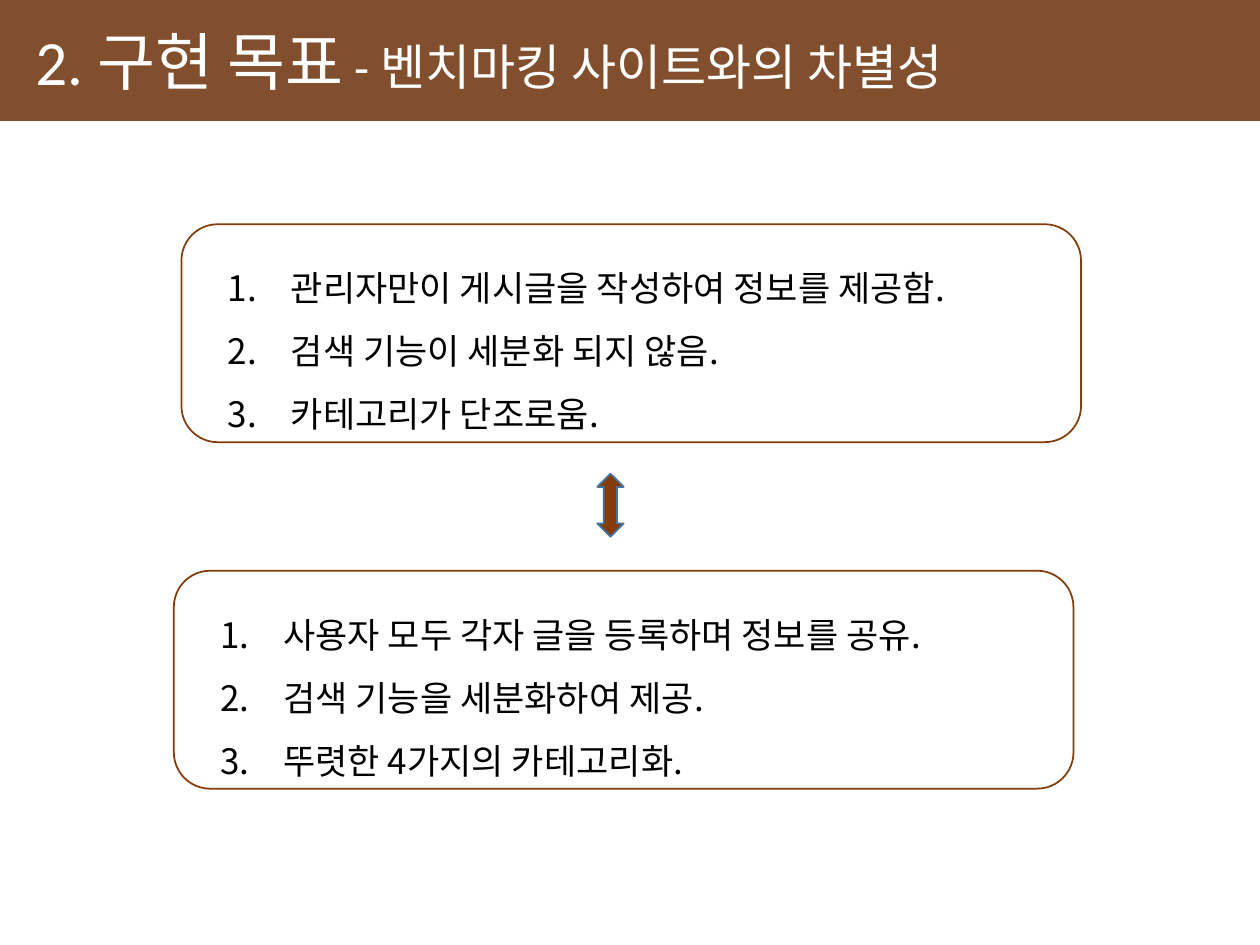
from lxml.etree import SubElement
from pptx import Presentation
from pptx.dml.color import RGBColor
from pptx.enum.shapes import MSO_SHAPE
from pptx.enum.text import MSO_ANCHOR, MSO_AUTO_SIZE, PP_ALIGN
from pptx.oxml.ns import qn
from pptx.util import Inches, Pt

WHITE = RGBColor(0xFF, 0xFF, 0xFF)
BLACK = RGBColor(0x00, 0x00, 0x00)
BAND_BROWN = RGBColor(0x6B, 0x31, 0x09)
BROWN = RGBColor(0x84, 0x3C, 0x0B)
BLUE = RGBColor(0x43, 0x73, 0x9E)
LATIN_FONT = "Calibri"
KOREAN_FONT = "Noto Sans CJK KR"

BENCHMARK_ITEMS = [
    "관리자만이 게시글을 작성하여 정보를 제공함.",
    "검색 기능이 세분화 되지 않음.",
    "카테고리가 단조로움.",
]
OUR_ITEMS = [
    "사용자 모두 각자 글을 등록하며 정보를 공유.",
    "검색 기능을 세분화하여 제공.",
    "뚜렷한 4가지의 카테고리화.",
]


def add_run(p, text, *, size, color, font):
    r = p.add_run()
    r.text = text
    r.font.size = Pt(size)
    r.font.color.rgb = color
    r.font.name = font
    SubElement(r.font._element, qn("a:ea")).set("typeface", KOREAN_FONT)


def number_paragraph(p, number):
    pPr = p._p.get_or_add_pPr()
    pPr.set("marL", str(Inches(0.5)))
    pPr.set("indent", str(Inches(-0.5)))
    bullet = SubElement(pPr, qn("a:buAutoNum"))
    bullet.set("type", "arabicPeriod")
    bullet.set("startAt", str(number))


class SlideBuilder:
    def __init__(self, prs):
        self.slide = prs.slides.add_slide(prs.slide_layouts[5])
        self.text_size = 20
        self.line_width = Pt(1)

    def shape(self, kind, left, top, width, height, fill=None, line=None):
        sp = self.slide.shapes.add_shape(
            kind, Inches(left), Inches(top), Inches(width), Inches(height))
        sp.shadow.inherit = False
        if fill is None:
            sp.fill.background()
        else:
            sp.fill.solid()
            sp.fill.fore_color.rgb = fill
        if line is None:
            sp.line.fill.background()
        else:
            sp.line.color.rgb = line
            sp.line.width = self.line_width
        return sp

    def title(self, heading, subheading):
        title = self.slide.shapes.title
        band = self.shape(MSO_SHAPE.RECTANGLE, 0, 0, 10, 0.96, fill=BAND_BROWN)
        color = band._element.spPr.find(qn("a:solidFill"))[0]
        SubElement(color, qn("a:alpha")).set("val", "85000")
        title._element.addprevious(band._element)
        title.left, title.top = Inches(0.18), Inches(0.13)
        title.width, title.height = Inches(8.02), Inches(0.71)
        tf = title.text_frame
        tf.word_wrap = False
        tf.auto_size = MSO_AUTO_SIZE.NONE
        tf.vertical_anchor = MSO_ANCHOR.TOP
        p = tf.paragraphs[0]
        p.alignment = PP_ALIGN.LEFT
        add_run(p, heading, size=36, color=WHITE, font=LATIN_FONT)
        add_run(p, subheading, size=28, color=WHITE, font=LATIN_FONT)

    def numbered_list(self, items, left, top, width, height):
        sp = self.slide.shapes.add_textbox(
            Inches(left), Inches(top), Inches(width), Inches(height))
        tf = sp.text_frame
        tf.word_wrap = True
        for number, item in enumerate(items, 1):
            p = tf.paragraphs[0] if number == 1 else tf.add_paragraph()
            p.line_spacing = 1.5
            number_paragraph(p, number)
            add_run(p, item, size=self.text_size, color=BLACK, font=KOREAN_FONT)

    def panel(self, items, left, top):
        self.numbered_list(items, left + 0.27, top + 0.12, 6.49, 1.62)
        self.shape(MSO_SHAPE.ROUNDED_RECTANGLE, left, top, 7.14, 1.73, line=BROWN)

    def arrow(self, left, top, width, height):
        self.shape(MSO_SHAPE.UP_DOWN_ARROW, left, top, width, height,
                   fill=BROWN, line=BLUE)


def main():
    prs = Presentation()
    prs.slide_width, prs.slide_height = Inches(10), Inches(7.5)
    s = SlideBuilder(prs)
    s.title("2. 구현 목표", " - 벤치마킹 사이트와의 차별성")
    s.panel(BENCHMARK_ITEMS, 1.44, 1.78)
    s.panel(OUR_ITEMS, 1.38, 4.53)
    s.arrow(4.74, 3.76, 0.21, 0.5)
    prs.save("out.pptx")


if __name__ == "__main__":
    main()
